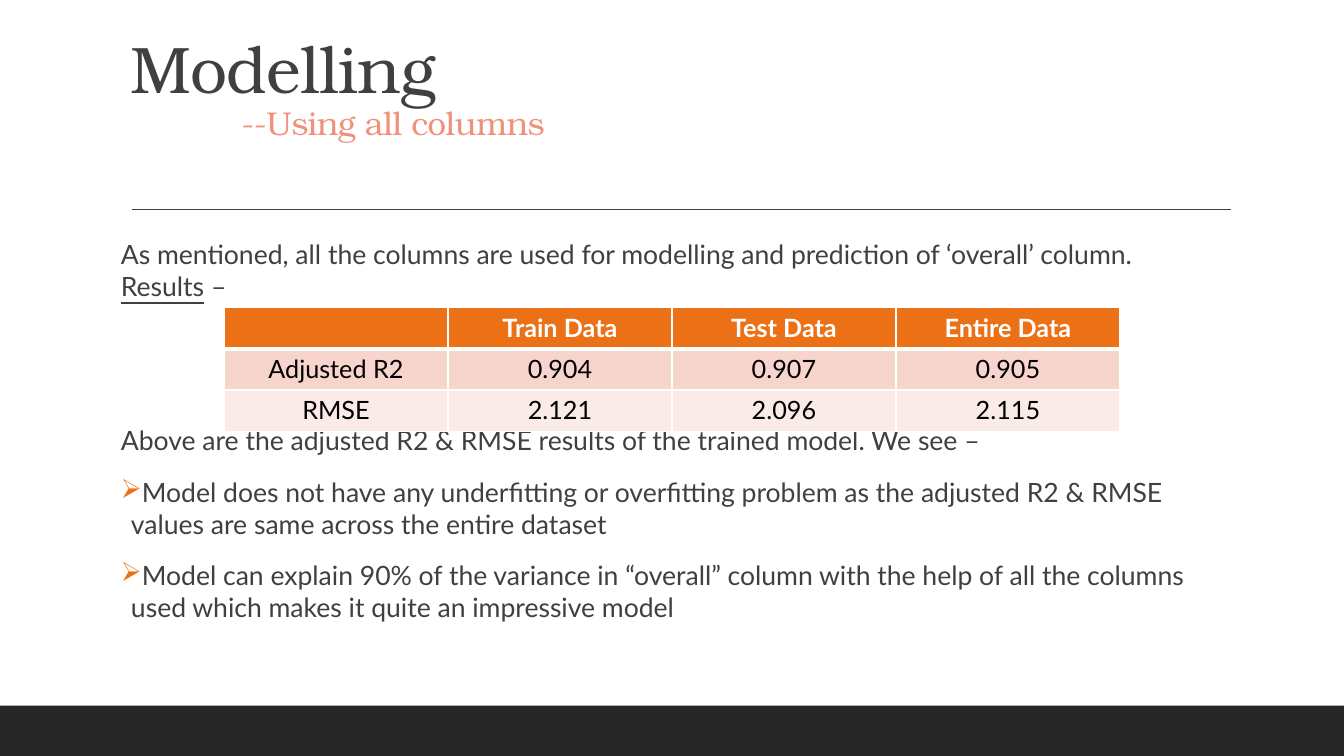
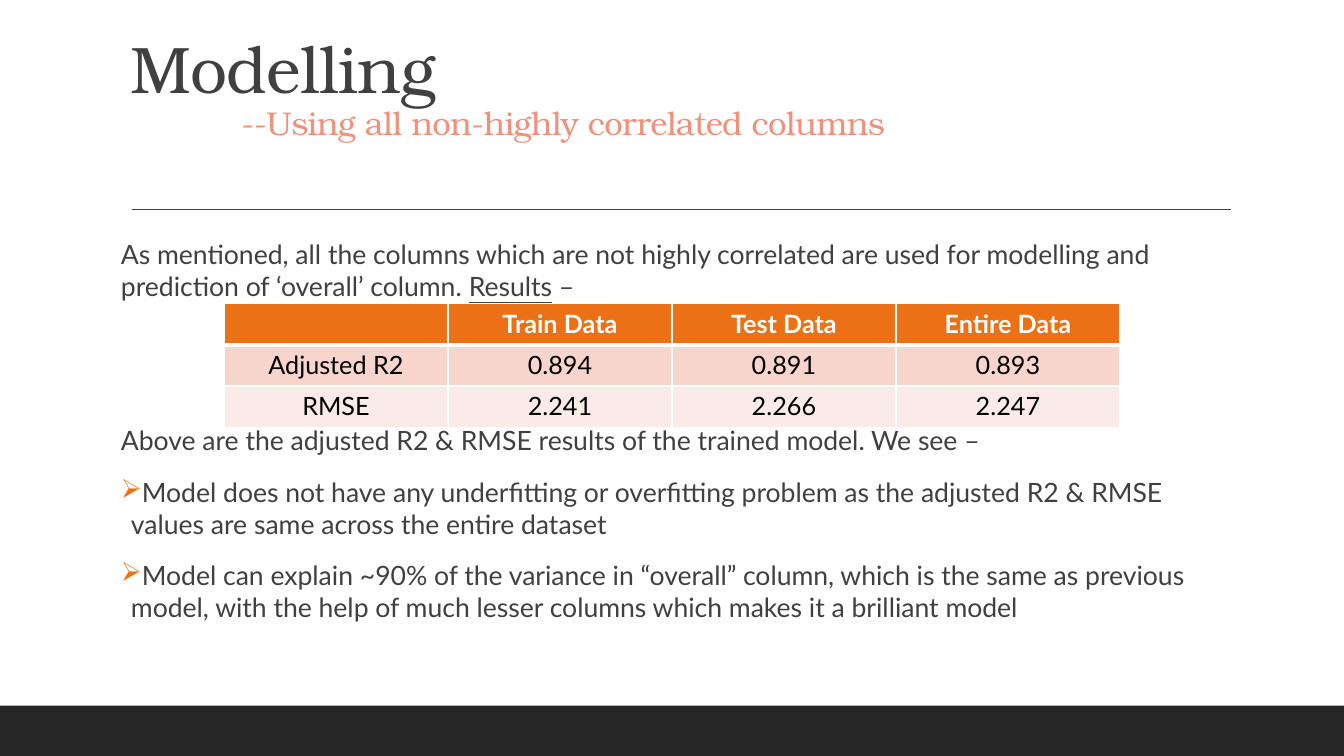
"""Build two slides comparing the modelling results of two column choices."""
from lxml import etree
from pptx import Presentation
from pptx.dml.color import RGBColor
from pptx.enum.shapes import MSO_CONNECTOR, MSO_SHAPE
from pptx.enum.text import PP_ALIGN
from pptx.oxml import parse_xml
from pptx.oxml.ns import nsdecls, qn
from pptx.util import Pt

DARK, BAND, ORANGE, SALMON = "404040", "262626", "EC7016", "F0917B"
WHITE, BLACK = "FFFFFF", "000000"
ROW_FILLS = [ORANGE, "F8D5CC", "FBEBE8"]
TITLE_FONT, BODY_FONT = "TeX Gyre Bonum", "Lato"
ROW_HEIGHT, COLUMN_WIDTH = 29.5, 160

RESULTS = [
    {
        "subtitle": "--Using all columns",
        "intro": "As mentioned, all the columns are used for modelling and prediction of ‘overall’ column.\n",
        "verdict": "Model can explain 90% of the variance in “overall” column with the help of all the "
                   "columns used which makes it quite an impressive model",
        "table_top": 219.6,
        "scores": [["0.904", "0.907", "0.905"], ["2.121", "2.096", "2.115"]],
    },
    {
        "subtitle": "--Using all non-highly correlated columns",
        "intro": "As mentioned, all the columns which are not highly correlated are used for modelling "
                 "and prediction of ‘overall’ column. ",
        "verdict": "Model can explain ~90% of the variance in “overall” column, which is the same as "
                   "previous model, with the help of much lesser columns which makes it a brilliant model",
        "table_top": 216.7,
        "scores": [["0.894", "0.891", "0.893"], ["2.241", "2.266", "2.247"]],
    },
]
FIT = ("Model does not have any underfitting or overfitting problem as the adjusted R2 & RMSE "
       "values are same across the entire dataset")


def rgb(code):
    return RGBColor.from_string(code)


def write(paragraph, text, size=19, font=BODY_FONT, color=DARK, bold=False, underline=False, tracking=0):
    for index, line in enumerate(text.split("\n")):
        if index:
            paragraph.add_line_break()
        if line:
            run = paragraph.add_run()
            run.text = line
            run.font.size, run.font.name = Pt(size), font
            run.font.bold, run.font.underline = bold, underline
            run.font.color.rgb = rgb(color)
            if tracking:
                run.font._element.set("spc", str(int(tracking * 100)))


prs = Presentation()
prs.slide_width, prs.slide_height = Pt(960), Pt(540)

for result in RESULTS:
    slide = prs.slides.add_slide(prs.slide_layouts[6])

    band = slide.shapes.add_shape(MSO_SHAPE.RECTANGLE, Pt(0), Pt(504), Pt(960), Pt(36))
    band.shadow.inherit = False
    band.fill.solid()
    band.fill.fore_color.rgb = rgb(BAND)
    band.line.fill.background()

    rule = slide.shapes.add_connector(MSO_CONNECTOR.STRAIGHT, Pt(94.3), Pt(149.6), Pt(879), Pt(149.6))
    rule.line.color.rgb = rgb(DARK)
    rule.line.width = Pt(1)
    etree.SubElement(rule._element.spPr, qn("a:effectLst"))

    title = slide.shapes.add_textbox(Pt(86.4), Pt(22.3), Pt(792), Pt(114.5)).text_frame
    title.word_wrap = True
    heading, subtitle = title.paragraphs[0], title.add_paragraph()
    heading.line_spacing = subtitle.line_spacing = 0.9
    write(heading, "Modelling", size=47, font=TITLE_FONT, tracking=-0.5)
    write(subtitle, result["subtitle"], size=23.5, font=TITLE_FONT, color=SALMON, tracking=-0.5)
    subtitle._p.get_or_add_pPr().set("marL", str(Pt(79)))

    body = slide.shapes.add_textbox(Pt(86.4), Pt(166.3), Pt(792), Pt(296)).text_frame
    body.word_wrap = True
    body.margin_left = body.margin_right = Pt(0)
    intro = body.paragraphs[0]
    write(intro, result["intro"])
    write(intro, "Results", underline=True)
    write(intro, " –")
    intro.space_after = Pt(2)

    summary = body.add_paragraph()
    write(summary, "Above are the adjusted R2 & RMSE results of the trained model. We see –")
    summary.space_before, summary.space_after = Pt(85.6), Pt(2)

    for finding in (FIT, result["verdict"]):
        bullet = body.add_paragraph()
        write(bullet, finding)
        bullet.space_before, bullet.space_after = Pt(12), Pt(2)
        properties = bullet._p.get_or_add_pPr()
        properties.set("marL", str(Pt(7.2)))
        properties.set("indent", str(Pt(-7.2)))
        bullet_color = etree.SubElement(properties, qn("a:buClr"))
        etree.SubElement(bullet_color, qn("a:srgbClr"), val=ORANGE)
        etree.SubElement(properties, qn("a:buChar"), char="➢")

    rows = [["", "Train Data", "Test Data", "Entire Data"]]
    rows += [[label, *scores] for label, scores in zip(("Adjusted R2", "RMSE"), result["scores"])]
    table = slide.shapes.add_table(
        len(rows), len(rows[0]), Pt(160), Pt(result["table_top"]),
        Pt(COLUMN_WIDTH * len(rows[0])), Pt(ROW_HEIGHT * len(rows))).table
    for column in table.columns:
        column.width = Pt(COLUMN_WIDTH)
    for row_index, values in enumerate(rows):
        table.rows[row_index].height = Pt(ROW_HEIGHT)
        header = row_index == 0
        for column_index, value in enumerate(values):
            cell = table.cell(row_index, column_index)
            paragraph = cell.text_frame.paragraphs[0]
            paragraph.alignment = PP_ALIGN.CENTER
            write(paragraph, value, size=18, color=WHITE if header else BLACK, bold=header)
            for side in "LRTB":
                under_header = (row_index, side) in ((0, "B"), (1, "T"))
                cell._tc.get_or_add_tcPr().append(parse_xml(
                    f'<a:ln{side} {nsdecls("a")} w="{Pt(3 if under_header else 1)}">'
                    f'<a:solidFill><a:srgbClr val="{WHITE}"/></a:solidFill></a:ln{side}>'))
            cell.fill.solid()
            cell.fill.fore_color.rgb = rgb(ROW_FILLS[row_index])

prs.save("out.pptx")
